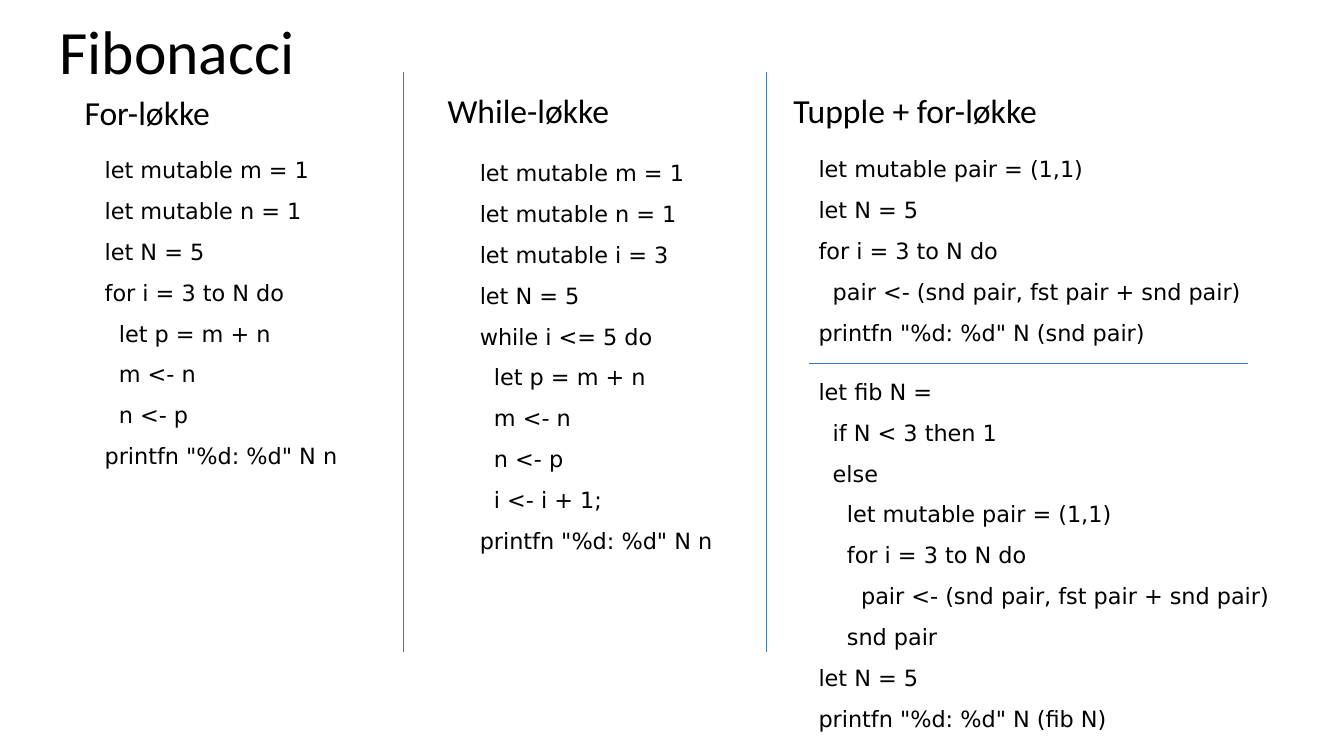
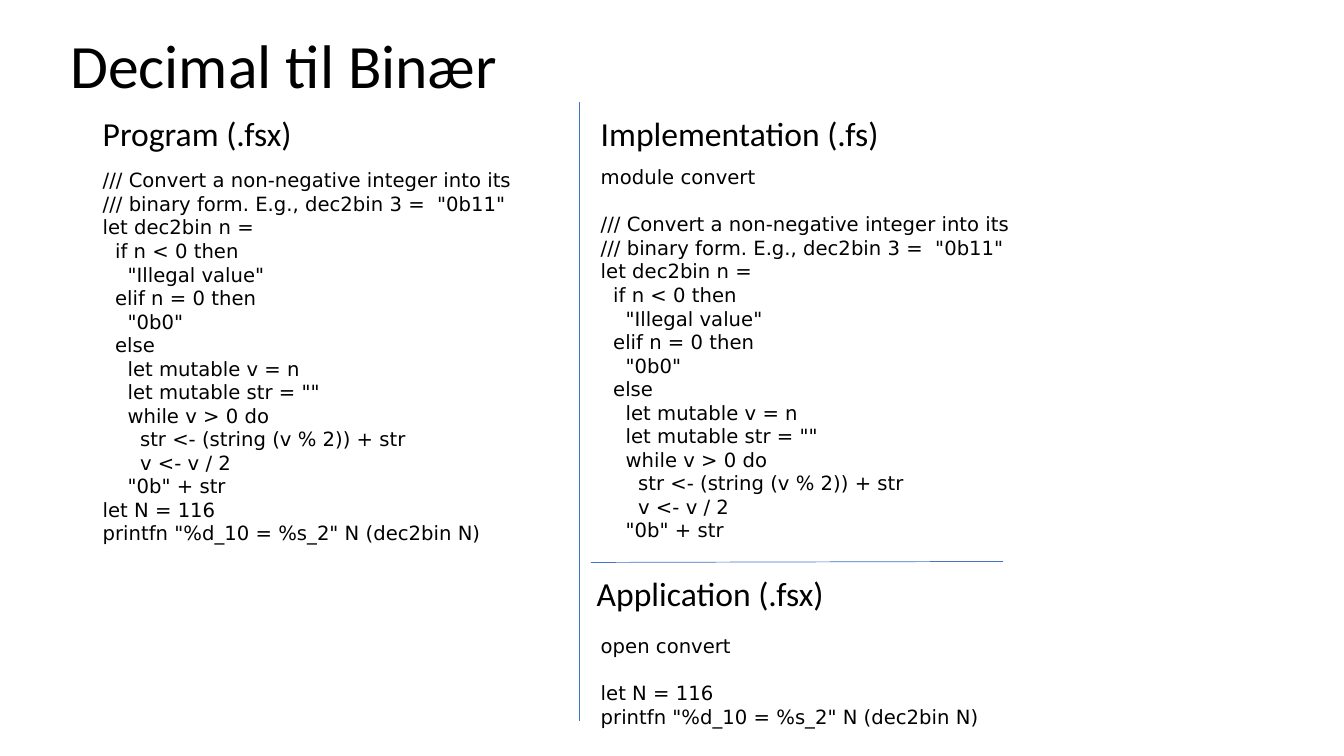
from lxml import etree
from pptx import Presentation
from pptx import util as u
from pptx.dml import color
from pptx.enum import shapes, text
from pptx.oxml import ns

COLOURS = {"text": "000000", "rule": "4472C4"}
TITLE = dict(font="Calibri", size=44, line_spacing=0.9, anchor=text.MSO_ANCHOR.MIDDLE)
HEADING = dict(font="Calibri", size=24)
SPACED_CODE = dict(font="DejaVu Sans", size=16, gap=10)
DENSE_CODE = dict(font="DejaVu Sans", size=14)
LINE_HEIGHT = 1.2

FOR_LOOP = """let mutable m = 1
let mutable n = 1
let N = 5
for i = 3 to N do
  let p = m + n
  m <- n
  n <- p
printfn "%d: %d" N n"""

WHILE_LOOP = """let mutable m = 1
let mutable n = 1
let mutable i = 3
let N = 5
while i <= 5 do
  let p = m + n
  m <- n
  n <- p
  i <- i + 1;
printfn "%d: %d" N n"""

TUPLE_LOOP = """let mutable pair = (1,1)
let N = 5
for i = 3 to N do
  pair <- (snd pair, fst pair + snd pair)
printfn "%d: %d" N (snd pair)"""

FIB_FUNCTION = """let fib N =
  if N < 3 then 1
  else
    let mutable pair = (1,1)
    for i = 3 to N do
      pair <- (snd pair, fst pair + snd pair)
    snd pair
let N = 5
printfn "%d: %d" N (fib N)"""

DEC2BIN = """/// Convert a non-negative integer into its
/// binary form. E.g., dec2bin 3 =  "0b11"
let dec2bin n =
  if n < 0 then
    "Illegal value"
  elif n = 0 then
    "0b0"
  else
    let mutable v = n
    let mutable str = ""
    while v > 0 do
      str <- (string (v % 2)) + str
      v <- v / 2
    "0b" + str"""

PRINT_116 = """let N = 116
printfn "%d_10 = %s_2" N (dec2bin N)"""


def add_text(page, box, content, *, font, size, gap=0, line_spacing=None,
             anchor=text.MSO_ANCHOR.TOP):
    """Place one paragraph per line; an empty line becomes space before the next."""
    frame = page.shapes.add_textbox(*map(u.Inches, box)).text_frame
    frame.word_wrap = True
    frame.vertical_anchor = anchor
    para, space = frame.paragraphs[0], 0
    for index, line in enumerate(content.split("\n")):
        if not line:
            space += size * LINE_HEIGHT
            continue
        if index:
            para = frame.add_paragraph()
            para.space_before = u.Pt(gap + space)
        space = 0
        if line_spacing:
            para.line_spacing = line_spacing
        span = para.add_run()
        span.text = line
        span.font.name = font
        span.font.size = u.Pt(size)
        span.font.color.rgb = color.RGBColor.from_string(COLOURS["text"])


def add_rule(page, start, end):
    rule = page.shapes.add_connector(
        shapes.MSO_CONNECTOR.STRAIGHT, *map(u.Inches, (*start, *end)))
    rule.line.color.rgb = color.RGBColor.from_string(COLOURS["rule"])
    rule.line.width = u.Pt(0.5)
    etree.SubElement(rule._element.spPr, ns.qn("a:effectLst"))


def add_page(deck, title, left, top):
    page = deck.slides.add_slide(deck.slide_layouts[6])
    add_text(page, (left, top, 11.5, 1.45), title, **TITLE)
    return page


def add_section(page, box, heading, code, style, indent=0, drop=0.55):
    """Put a heading at the top of the box and its code indented below."""
    left, top, width, height = box
    add_text(page, (left, top, 3.15, 0.5), heading, **HEADING)
    add_text(page, (left + indent, top + drop, width - indent, height - drop),
             code, **style)


def fibonacci_page(deck):
    page = add_page(deck, "Fibonacci", 0.49, -0.18)
    add_section(page, (0.74, 0.86, 2.76, 4.09), "For-løkke", FOR_LOOP,
                SPACED_CODE, indent=0.2, drop=0.64)
    add_section(page, (4.34, 0.84, 3.1, 4.79), "While-løkke", WHILE_LOOP,
                SPACED_CODE, indent=0.32, drop=0.69)
    add_section(page, (7.77, 0.84, 5.04, 2.76), "Tupple + for-løkke", TUPLE_LOOP,
                SPACED_CODE, indent=0.25, drop=0.65)
    add_text(page, (8.02, 3.7, 4.79, 3.62), FIB_FUNCTION, **SPACED_CODE)
    for x in (4, 7.6):
        add_rule(page, (x, 0.71), (x, 6.47))
    add_rule(page, (8.02, 3.6), (12.38, 3.6))


def binary_page(deck):
    page = add_page(deck, "Decimal til Binær", 0.6, -0.05)
    add_section(page, (0.92, 1.07, 4.55, 4.66), "Program (.fsx)",
                DEC2BIN + "\n" + PRINT_116, DENSE_CODE)
    add_section(page, (5.86, 1.07, 4.55, 4.39), "Implementation (.fs)",
                "module convert\n\n" + DEC2BIN, DENSE_CODE, drop=0.52)
    add_section(page, (5.82, 5.63, 4.59, 1.65), "Application (.fsx)",
                "open convert\n\n" + PRINT_116, DENSE_CODE, indent=0.04, drop=0.61)
    add_rule(page, (5.75, 1.01), (5.75, 7.15))
    add_rule(page, (5.86, 5.58), (9.95, 5.57))


def main():
    deck = Presentation()
    deck.slide_width, deck.slide_height = u.Inches(13.33), u.Inches(7.5)
    fibonacci_page(deck)
    binary_page(deck)
    deck.save("out.pptx")


if __name__ == "__main__":
    main()
